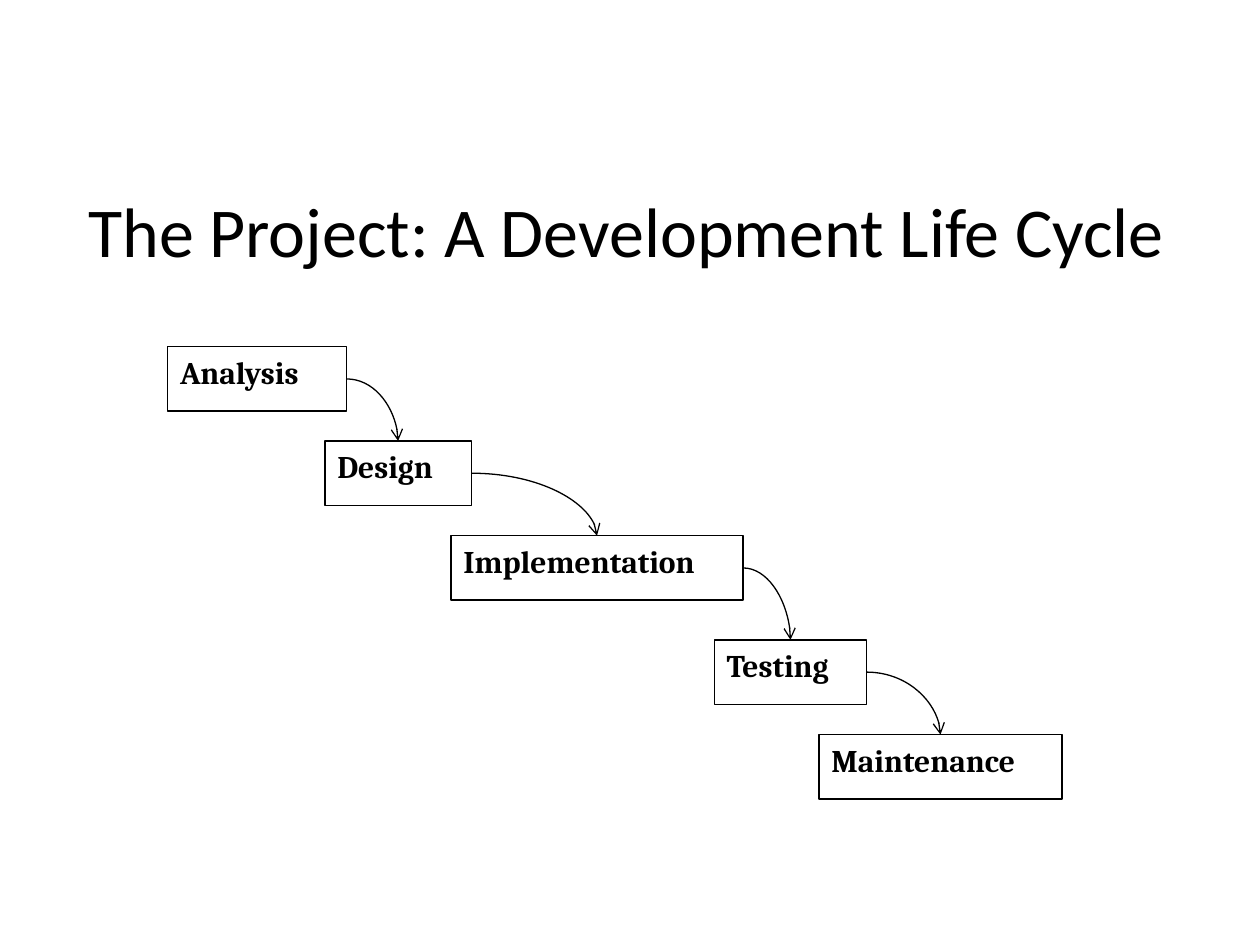
from dataclasses import dataclass
from itertools import pairwise

from lxml.etree import SubElement
from pptx import Presentation
from pptx.dml.color import RGBColor
from pptx.enum.shapes import MSO_CONNECTOR as Connector, MSO_SHAPE as Preset
from pptx.enum.text import MSO_ANCHOR as Anchor, PP_ALIGN as Align
from pptx.oxml.ns import qn
from pptx.shapes.autoshape import Shape
from pptx.shapes.shapetree import SlideShapes
from pptx.util import Cm, Pt


@dataclass(frozen=True)
class Theme:
    ink: RGBColor = RGBColor(0, 0, 0)
    title_font: str = "Calibri"
    stage_font: str = "Cambria"
    title_size: float = 40
    stage_size: float = 18
    line_width: float = 0.75


@dataclass(frozen=True)
class Stage:
    name: str
    left: float
    top: float
    width: float
    height: float = 1.3


THEME = Theme()
STAGES = (
    Stage("Analysis", 3.38, 6.99, 3.61),
    Stage("Design", 6.55, 8.89, 2.95),
    Stage("Implementation", 9.09, 10.8, 5.89),
    Stage("Testing", 14.4, 12.9, 3.07),
    Stage("Maintenance", 16.51, 14.81, 4.9),
)


def write_text(box: Shape, text: str, *, font: str, size: float,
               bold: bool = False, align: Align = Align.LEFT,
               anchor: Anchor = Anchor.TOP) -> None:
    frame = box.text_frame
    frame.word_wrap = True
    frame.vertical_anchor = anchor
    para = frame.paragraphs[0]
    para.alignment = align
    span = para.add_run()
    span.text = text
    span.font.name = font
    span.font.size = Pt(size)
    span.font.bold = bold
    span.font.color.rgb = THEME.ink


def draw_title(shapes: SlideShapes, text: str) -> None:
    box = shapes.add_textbox(Cm(1.07), Cm(3.48), Cm(23.11), Cm(2.29))
    write_text(box, text, font=THEME.title_font, size=THEME.title_size,
               align=Align.CENTER, anchor=Anchor.MIDDLE)


def draw_stage(shapes: SlideShapes, stage: Stage) -> Shape:
    box = shapes.add_shape(Preset.RECTANGLE, Cm(stage.left), Cm(stage.top),
                           Cm(stage.width), Cm(stage.height))
    box.shadow.inherit = False
    box.fill.background()
    box.line.color.rgb = THEME.ink
    box.line.width = Pt(THEME.line_width)
    write_text(box, stage.name, font=THEME.stage_font,
               size=THEME.stage_size, bold=True)
    return box


def draw_arrow(shapes: SlideShapes, source: Shape, target: Shape) -> None:
    arrow = shapes.add_connector(Connector.CURVE, 0, 0, 0, 0)
    arrow.begin_connect(source, 3)
    arrow.end_connect(target, 0)
    arrow.line.color.rgb = THEME.ink
    arrow.line.width = Pt(THEME.line_width)
    properties = arrow._element.spPr
    properties.find(qn("a:prstGeom")).set("prst", "curvedConnector2")
    SubElement(properties.find(qn("a:ln")), qn("a:tailEnd"), type="arrow")
    SubElement(properties, qn("a:effectLst"))


def main() -> None:
    deck = Presentation()
    deck.slide_width, deck.slide_height = Cm(25.4), Cm(19.05)
    page = deck.slides.add_slide(deck.slide_layouts[6])
    draw_title(page.shapes, "The Project: A Development Life Cycle")
    boxes = [draw_stage(page.shapes, stage) for stage in STAGES]
    for source, target in pairwise(boxes):
        draw_arrow(page.shapes, source, target)
    deck.save("out.pptx")


if __name__ == "__main__":
    main()
